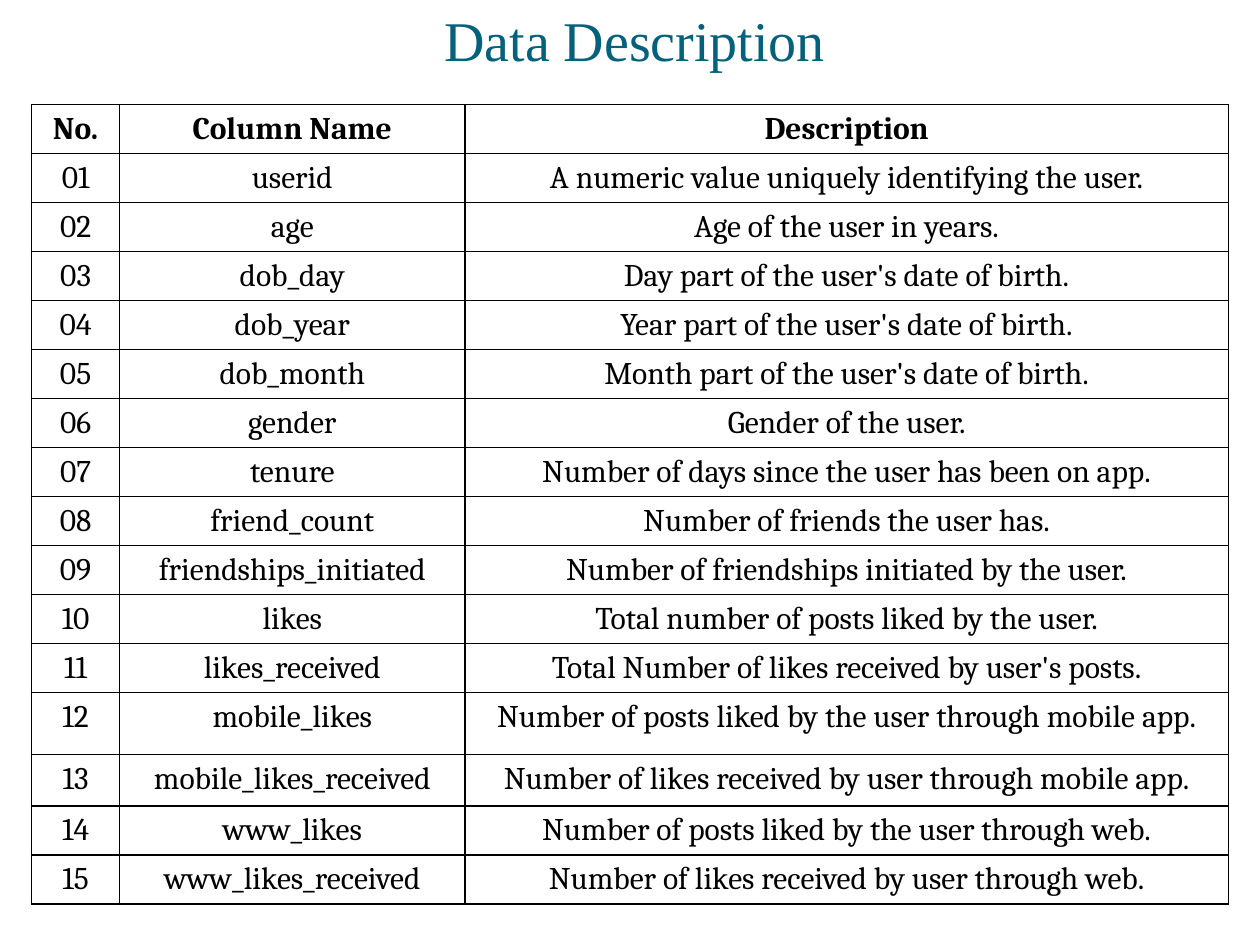
from dataclasses import dataclass

from pptx import Presentation
from pptx.dml.color import RGBColor
from pptx.enum.text import MSO_ANCHOR as Anchor, MSO_AUTO_SIZE as AutoSize, PP_ALIGN as Align
from pptx.oxml import parse_xml
from pptx.oxml.ns import nsdecls
from pptx.slide import Slide
from pptx.util import Inches, Pt

HEADINGS = ("No.", "Column Name", "Description")
FIELDS = [
    ("userid", "A numeric value uniquely identifying the user."),
    ("age", "Age of the user in years."),
    ("dob_day", "Day part of the user's date of birth."),
    ("dob_year", "Year part of the user's date of birth."),
    ("dob_month", "Month part of the user's date of birth."),
    ("gender", "Gender of the user."),
    ("tenure", "Number of days since the user has been on app."),
    ("friend_count", "Number of friends the user has."),
    ("friendships_initiated", "Number of friendships initiated by the user."),
    ("likes", "Total number of posts liked by the user."),
    ("likes_received", "Total Number of likes received by user's posts."),
    ("mobile_likes", "Number of posts liked by the user through mobile app."),
    ("mobile_likes_received", "Number of likes received by user through mobile app."),
    ("www_likes", "Number of posts liked by the user through web."),
    ("www_likes_received", "Number of likes received by user through web."),
]
COLUMN_WIDTHS = (0.7, 2.74, 6.06)
ROW_HEIGHT = 0.38
TALL_ROWS = {12: 0.49, 13: 0.41}


def rgb(hex_color):
    return RGBColor.from_string(hex_color)


@dataclass
class SlideBuilder:
    slide: Slide
    title_font: str = "Times New Roman"
    table_font: str = "Cambria"
    title_color: str = "04617B"
    ink: str = "000000"

    def add_text(self, frame, text, font, size, color, bold=False):
        paragraph = frame.paragraphs[0]
        paragraph.alignment = Align.CENTER
        run = paragraph.add_run()
        run.text = text
        run.font.name = font
        run.font.size = Pt(size)
        run.font.bold = bold
        run.font.color.rgb = rgb(color)

    def title(self, text, left, top, width, height):
        heading = self.slide.shapes.title
        heading.left, heading.top = Inches(left), Inches(top)
        heading.width, heading.height = Inches(width), Inches(height)
        frame = heading.text_frame
        frame.auto_size = AutoSize.NONE
        frame.vertical_anchor = Anchor.BOTTOM
        frame.margin_left = frame.margin_right = frame.margin_bottom = 0
        frame.margin_top = Inches(0.05)
        self.add_text(frame, text, self.title_font, 32, self.title_color)

    def border(self, cell):
        properties = cell._tc.get_or_add_tcPr()
        for side in "LRTB":
            properties.append(parse_xml(
                f'<a:ln{side} {nsdecls("a")} w="{Pt(1)}"><a:solidFill>'
                f'<a:srgbClr val="{self.ink}"/></a:solidFill></a:ln{side}>'))

    def table(self, rows, left, top, widths, heights):
        grid = self.slide.shapes.add_table(
            len(rows), len(widths), Inches(left), Inches(top),
            Inches(sum(widths)), Inches(sum(heights))).table
        grid.first_row = grid.horz_banding = False
        for column, width in zip(grid.columns, widths):
            column.width = Inches(width)
        for number, (row, height, texts) in enumerate(zip(grid.rows, heights, rows)):
            row.height = Inches(height)
            is_header = number == 0
            for cell, text in zip(row.cells, texts):
                self.border(cell)
                cell.fill.background()
                cell.vertical_anchor = Anchor.MIDDLE if is_header else Anchor.TOP
                self.add_text(cell.text_frame, text, self.table_font, 18, self.ink, is_header)


def main():
    deck = Presentation()
    deck.slide_width, deck.slide_height = Inches(10), Inches(7.5)
    title_only = deck.slide_layouts[5]
    builder = SlideBuilder(deck.slides.add_slide(title_only))
    builder.title("Data Description", 0.58, 0, 8.92, 0.58)
    rows = [HEADINGS] + [(f"{number:02}", *field) for number, field in enumerate(FIELDS, 1)]
    heights = [TALL_ROWS.get(number, ROW_HEIGHT) for number in range(len(rows))]
    builder.table(rows, 0.25, 0.83, COLUMN_WIDTHS, heights)
    deck.save("out.pptx")


if __name__ == "__main__":
    main()
